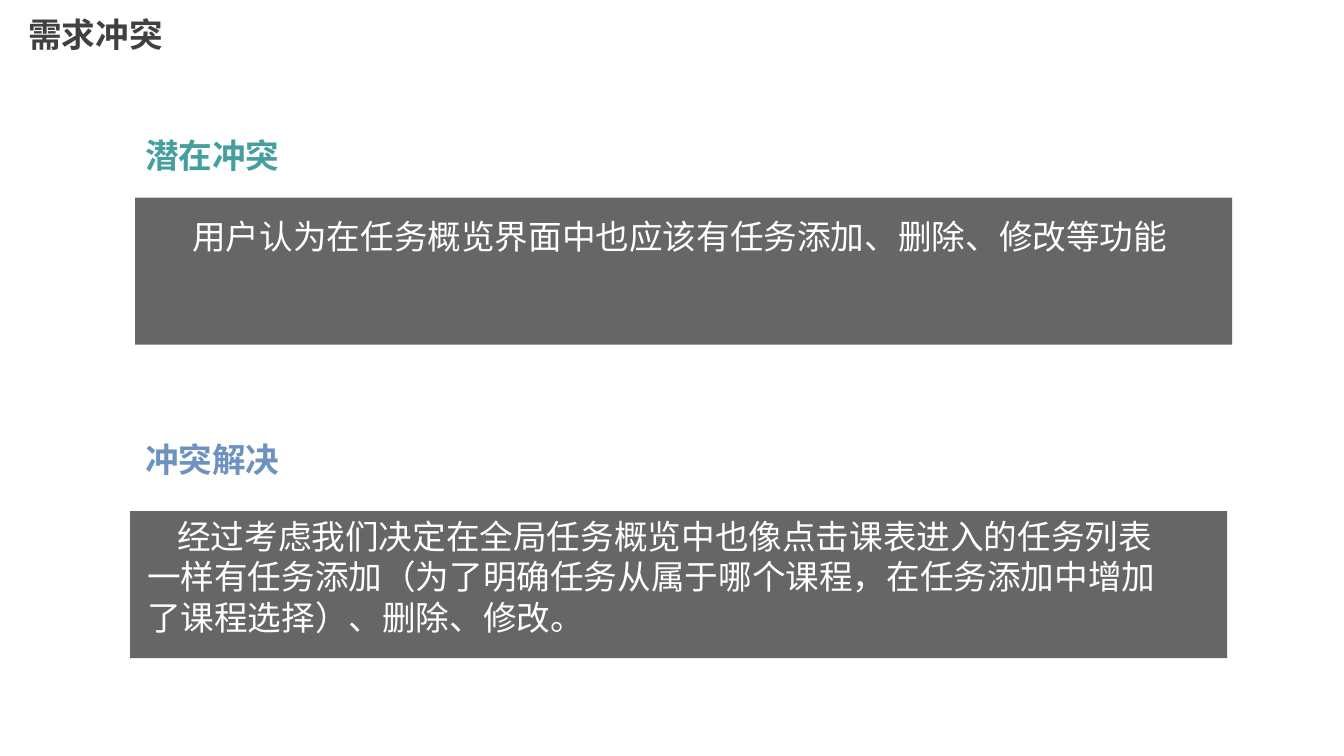
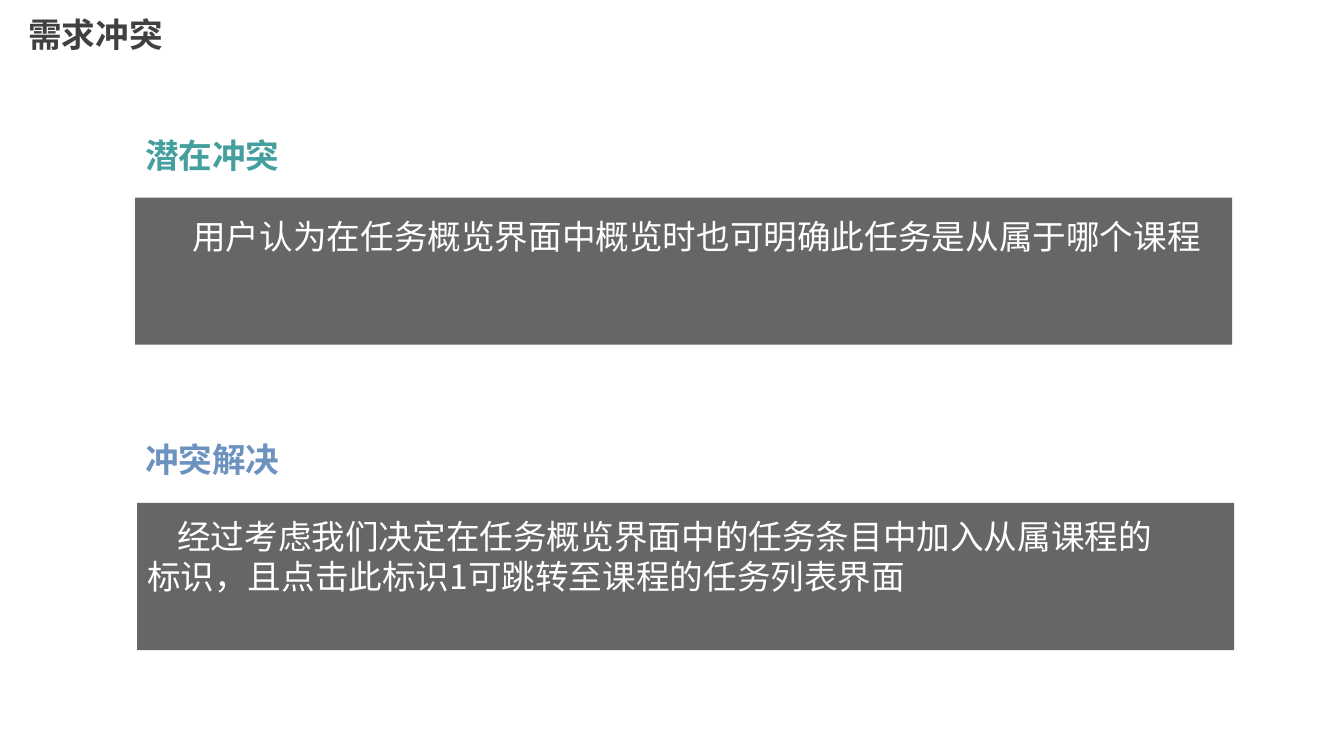
from dataclasses import dataclass

from pptx import Presentation
from pptx.dml.color import RGBColor
from pptx.enum.shapes import MSO_SHAPE
from pptx.enum.text import MSO_ANCHOR, MSO_AUTO_SIZE, PP_ALIGN
from pptx.oxml.ns import qn
from pptx.shapes.autoshape import Shape
from pptx.slide import Slide
from pptx.util import Emu, Pt
from lxml.etree import SubElement

EMU_PER_PX = 9144
FONT = "Noto Sans CJK SC"
FONT_SIZE = Pt(24)

WHITE = RGBColor(0xFF, 0xFF, 0xFF)
TITLE_GRAY = RGBColor(0x40, 0x40, 0x40)
PANEL_GRAY = RGBColor(0x26, 0x26, 0x26)
TEAL = RGBColor(0x44, 0x9F, 0x9E)
BLUE = RGBColor(0x6C, 0x92, 0xC0)
PANEL_OPACITY = 70

TITLE = "需求冲突"
HEADING_LEFT, HEADING_WIDTH, LINE_HEIGHT = 134, 156, 50
PANEL_WIDTH, PANEL_HEIGHT = 1088, 146
BODY_LEFT = 136


@dataclass(frozen=True)
class SectionStyle:
    heading: str
    color: RGBColor
    heading_top: int
    body_top: int
    body_width: int
    indent: int


@dataclass(frozen=True)
class Section:
    style: SectionStyle
    body: str
    body_height: int
    panel_left: int
    panel_top: int


CONFLICT = SectionStyle("潜在冲突", TEAL, 129, 209, 1082, 45)
SOLUTION = SectionStyle("冲突解决", BLUE, 431, 507, 1045, 30)

SLIDES: list[list[Section]] = [
    [
        Section(CONFLICT, "用户认为在任务概览界面中也应该有任务添加、删除、修改等功能",
                50, 134, 196),
        Section(SOLUTION, "经过考虑我们决定在全局任务概览中也像点击课表进入的任务列表"
                "一样有任务添加（为了明确任务从属于哪个课程，在任务添加中增加"
                "了课程选择）、删除、修改。", 131, 129, 507),
    ],
    [
        Section(CONFLICT, "用户认为在任务概览界面中概览时也可明确此任务是从属于哪个课程",
                50, 134, 196),
        Section(SOLUTION, "经过考虑我们决定在任务概览界面中的任务条目中加入从属课程的"
                "标识，且点击此标识1可跳转至课程的任务列表界面", 91, 136, 499),
    ],
]


def px(length: int) -> Emu:
    return Emu(length * EMU_PER_PX)


def write_text(box: Shape, text: str, color: RGBColor, bold: bool = False,
               wrap: bool = False, indent: int = 0) -> None:
    frame = box.text_frame
    frame.word_wrap = wrap
    frame.auto_size = MSO_AUTO_SIZE.SHAPE_TO_FIT_TEXT
    frame.vertical_anchor = MSO_ANCHOR.TOP
    paragraph = frame.paragraphs[0]
    paragraph.alignment = PP_ALIGN.LEFT
    if indent:
        paragraph._p.get_or_add_pPr().set("indent", str(px(indent)))
    run = paragraph.add_run()
    run.text = text
    font = run.font
    font.size, font.bold, font.name = FONT_SIZE, bold, FONT
    font.color.rgb = color
    SubElement(run._r.get_or_add_rPr(), qn("a:ea"), typeface=FONT)


def add_title(slide: Slide) -> None:
    title = slide.shapes.title
    title.left, title.top = px(18), px(9)
    title.width, title.height = px(HEADING_WIDTH), px(LINE_HEIGHT)
    write_text(title, TITLE, TITLE_GRAY, bold=True)


def add_panel(slide: Slide, left: int, top: int) -> None:
    panel = slide.shapes.add_shape(MSO_SHAPE.RECTANGLE, px(left), px(top),
                                   px(PANEL_WIDTH), px(PANEL_HEIGHT))
    panel.shadow.inherit = False
    panel.line.fill.background()
    panel.fill.solid()
    panel.fill.fore_color.rgb = PANEL_GRAY
    color = panel.fill._xPr.find(qn("a:solidFill")).find(qn("a:srgbClr"))
    SubElement(color, qn("a:alpha"), val=str(PANEL_OPACITY * 1000))


def add_section(slide: Slide, section: Section) -> None:
    style = section.style
    add_panel(slide, section.panel_left, section.panel_top)
    heading = slide.shapes.add_textbox(px(HEADING_LEFT), px(style.heading_top),
                                       px(HEADING_WIDTH), px(LINE_HEIGHT))
    write_text(heading, style.heading, style.color, bold=True)
    body = slide.shapes.add_textbox(px(BODY_LEFT), px(style.body_top),
                                    px(style.body_width), px(section.body_height))
    write_text(body, section.body, WHITE, wrap=True, indent=style.indent)


def main() -> None:
    deck = Presentation()
    deck.slide_width, deck.slide_height = px(1333), px(750)
    title_only = deck.slide_layouts[5]
    for sections in SLIDES:
        slide = deck.slides.add_slide(title_only)
        add_title(slide)
        for section in sections:
            add_section(slide, section)
    deck.save("out.pptx")


if __name__ == "__main__":
    main()
